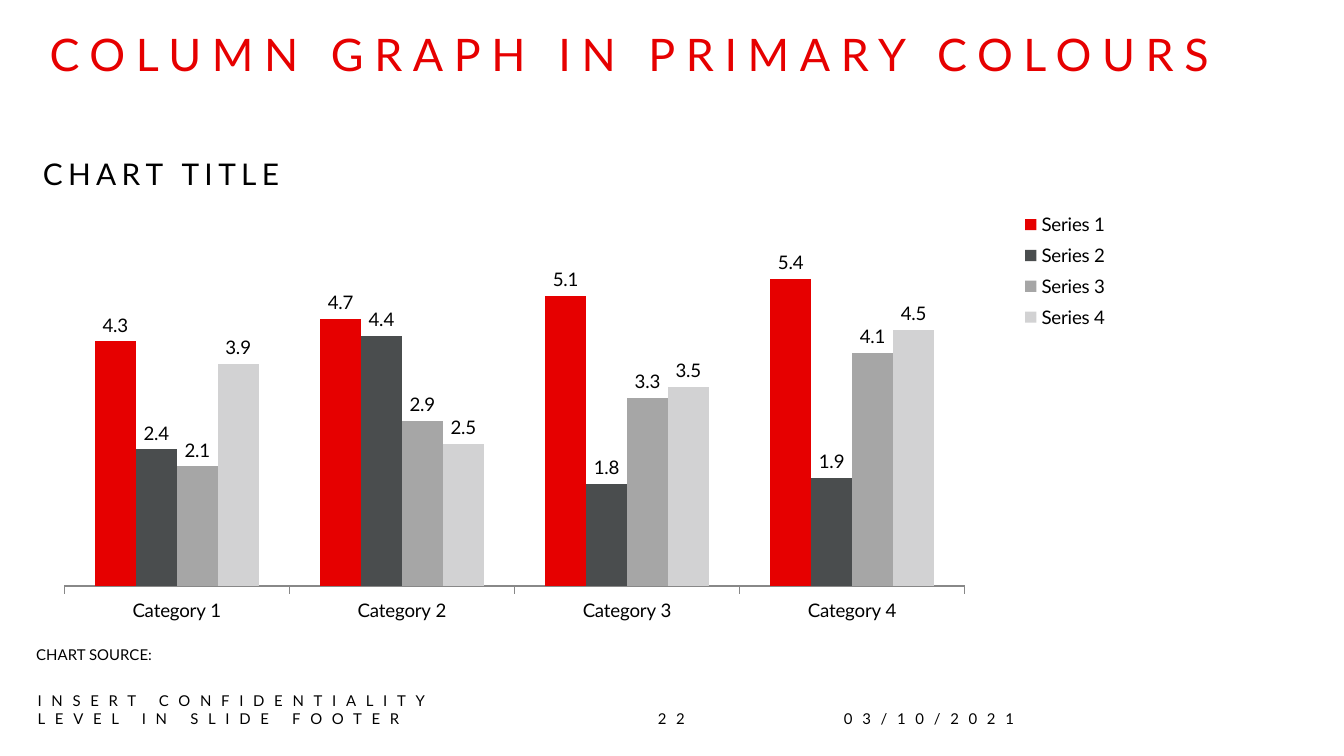
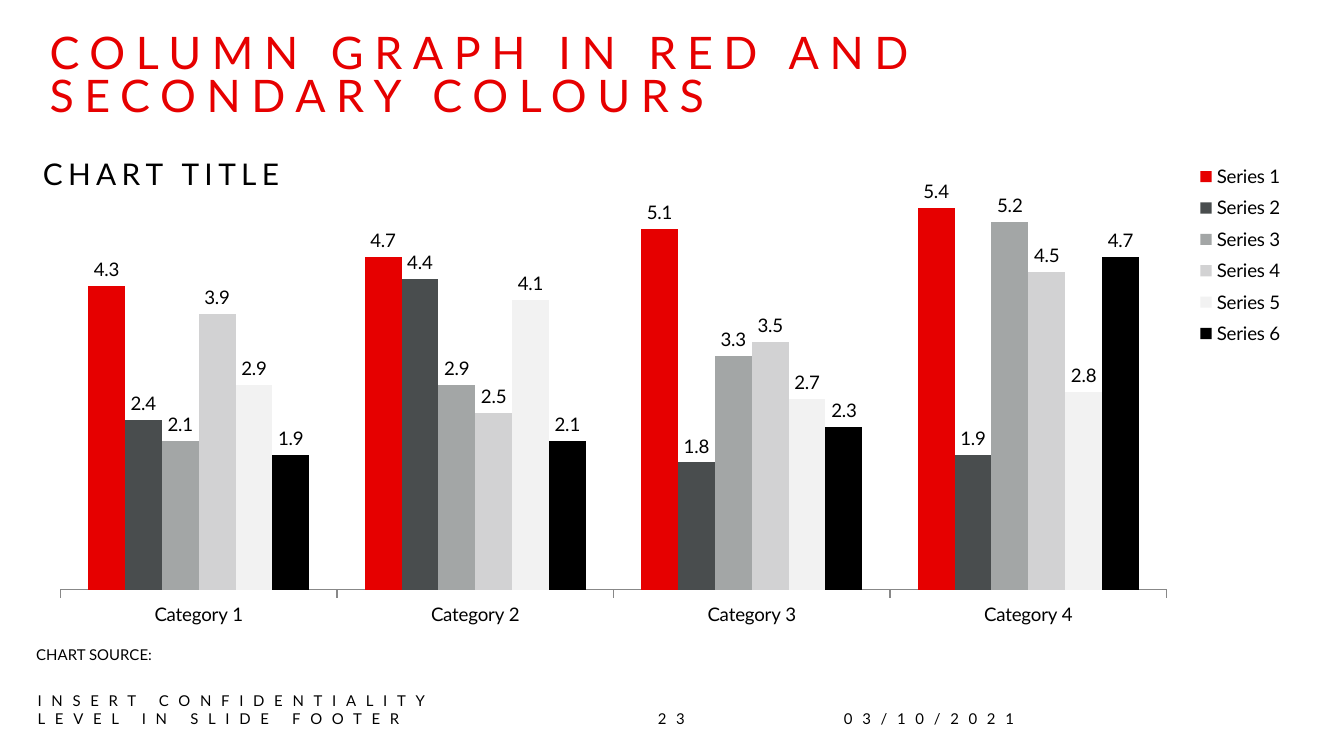
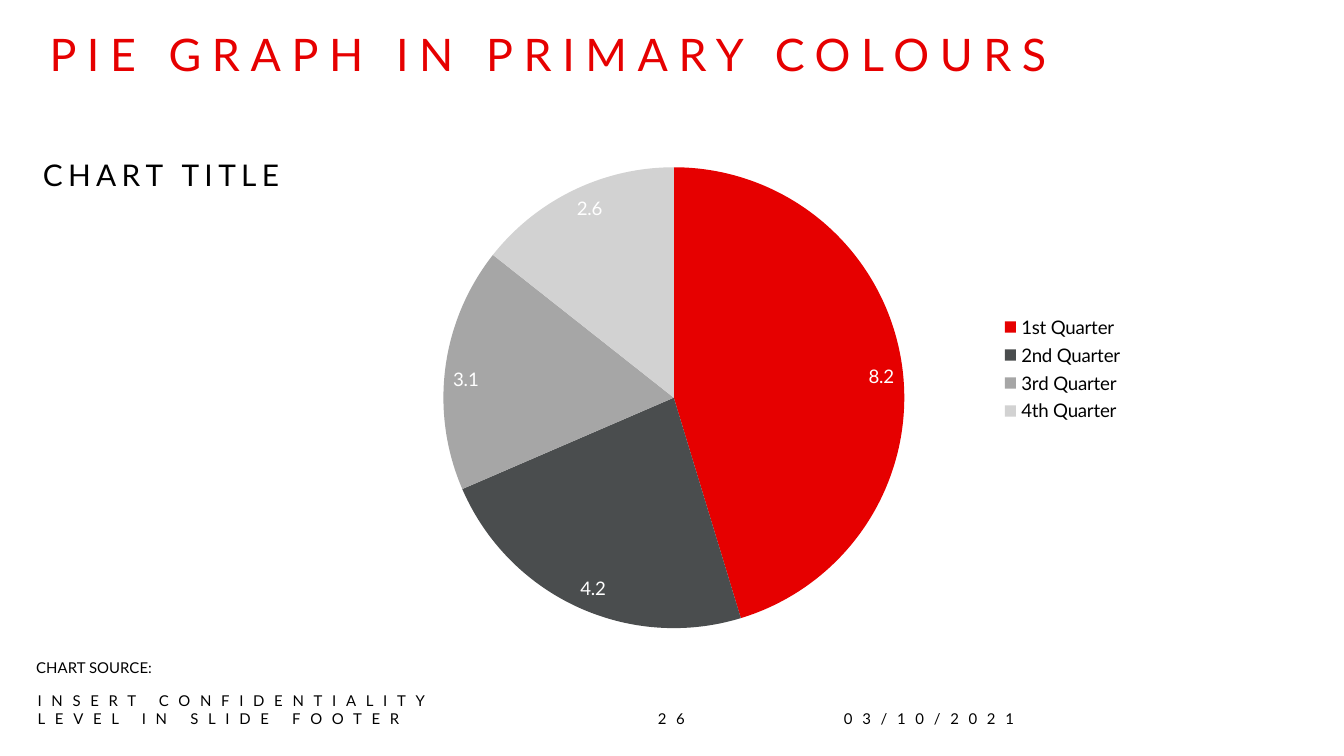
import pptx
import pptx.chart.data
import pptx.dml.color
import pptx.enum.chart
import pptx.enum.text
import pptx.oxml
import pptx.oxml.ns
import pptx.util
from pptx.util import Inches

FONT = "Lato"
RED, BLACK, WHITE = "E60000", "000000", "FFFFFF"
AXIS_GREY = "888888"
MARGIN, CONTENT_WIDTH = 0.27, 9.45
CHART_HEIGHT = 3.72
CATEGORIES = [f"Category {number}" for number in range(1, 5)]
QUARTERS = ["1st Quarter", "2nd Quarter", "3rd Quarter", "4th Quarter"]
COLUMN = pptx.enum.chart.XL_CHART_TYPE.COLUMN_CLUSTERED
PIE = pptx.enum.chart.XL_CHART_TYPE.PIE
TOP = pptx.enum.text.MSO_ANCHOR.TOP
BOTTOM = pptx.enum.text.MSO_ANCHOR.BOTTOM
LEFT = pptx.enum.text.PP_ALIGN.LEFT
CENTER = pptx.enum.text.PP_ALIGN.CENTER

SLIDES = [
    {
        "title": "COLUMN GRAPH IN PRIMARY COLOURS", "title_top": 0.23,
        "page": "22", "type": COLUMN, "categories": CATEGORIES,
        "chart_top": 1.09, "source_top": 4.8,
        "plot": (0.022, 0.197, 0.709, 0.682), "legend": (0.77, 0.117, 0.08, 0.264),
        "colors": [RED, "4A4D4E", "A6A6A6", "D2D2D3"],
        "values": [(4.3, 4.7, 5.1, 5.4), (2.4, 4.4, 1.8, 1.9),
                   (2.1, 2.9, 3.3, 4.1), (3.9, 2.5, 3.5, 4.5)],
    },
    {
        "title": "COLUMN GRAPH IN RED AND\nSECONDARY COLOURS", "title_top": 0.21,
        "page": "23", "type": COLUMN, "categories": CATEGORIES,
        "chart_top": 1.09, "source_top": 4.8,
        "plot": (0.019, 0.038, 0.871, 0.849), "legend": (0.908, 0.02, 0.08, 0.395),
        "colors": [RED, "494D4E", "A3A6A6", "D2D2D3", "F2F2F2", BLACK],
        "values": [(4.3, 4.7, 5.1, 5.4), (2.4, 4.4, 1.8, 1.9),
                   (2.1, 2.9, 3.3, 5.2), (3.9, 2.5, 3.5, 4.5),
                   (2.9, 4.1, 2.7, 2.8), (1.9, 2.1, 2.3, 4.7)],
    },
    {
        "title": "PIE GRAPH IN PRIMARY COLOURS", "title_top": 0.23,
        "page": "26", "type": PIE, "categories": QUARTERS,
        "chart_top": 1.1, "source_top": 4.9,
        "plot": (0.291, 0.039, 0.422, 0.922), "legend": (0.758, 0.325, 0.1, 0.235),
        "colors": [RED, "4A4D4E", "A6A6A6", "D2D2D2"],
        "values": [(8.2, 4.2, 3.1, 2.6)],
    },
]


def rgb(color):
    return pptx.dml.color.RGBColor.from_string(color)


def set_layout(element, index, fractions):
    """Place a chart part at x, y (and width, height) as fractions of the chart."""
    for old_layout in element.findall(pptx.oxml.ns.qn("c:layout")):
        element.remove(old_layout)
    target = '<c:layoutTarget val="inner"/>' if element.tag.endswith("plotArea") else ""
    modes = '<c:xMode val="edge"/><c:yMode val="edge"/>'
    places = "".join(f'<c:{name} val="{value}"/>' for name, value in zip("xywh", fractions))
    element.insert(index, pptx.oxml.parse_xml(
        f'<c:layout {pptx.oxml.ns.nsdecls("c")}><c:manualLayout>'
        f"{target}{modes}{places}</c:manualLayout></c:layout>"))


presentation = pptx.Presentation()
presentation.slide_width = Inches(10)
presentation.slide_height = Inches(10) * 9 // 16

for content in SLIDES:
    slide = presentation.slides.add_slide(presentation.slide_layouts[6])

    # Text, place, size, colour, letter spacing, anchor, alignment
    texts = [
        (content["title"], (MARGIN, content["title_top"], CONTENT_WIDTH, 0.73),
         24, RED, 5.7, TOP, LEFT),
        ("03/10/2021", (6.28, 5.15, 2.16, 0.26), 8, BLACK, 5.2, BOTTOM, LEFT),
        ("INSERT CONFIDENTIALITY LEVEL IN SLIDE FOOTER", (0.28, 5.15, 3.01, 0.26),
         8, BLACK, 5.2, BOTTOM, LEFT),
        (content["page"], (4.77, 5.15, 0.45, 0.26), 8, BLACK, 5.2, BOTTOM, CENTER),
        ("CHART SOURCE:", (MARGIN, content["source_top"], 3.94, 0.28),
         8, BLACK, 0, TOP, LEFT),
    ]
    for text, place, size, color, spacing, anchor, alignment in texts:
        frame = slide.shapes.add_textbox(*map(Inches, place)).text_frame
        frame.word_wrap = True
        frame.vertical_anchor = anchor
        paragraph = frame.paragraphs[0]
        paragraph.text = text
        paragraph.alignment = alignment
        if text == content["title"]:
            paragraph.line_spacing = 0.8
        else:
            frame.margin_left = frame.margin_right = 0
            frame.margin_top = frame.margin_bottom = 0
        paragraph.font.name = FONT
        paragraph.font.size = pptx.util.Pt(size)
        paragraph.font.color.rgb = rgb(color)
        if spacing:
            paragraph.font._element.set("spc", str(round(spacing * 100)))

    is_pie = content["type"] == PIE
    chart_data = pptx.chart.data.CategoryChartData(number_format="General")
    chart_data.categories = content["categories"]
    for number, values in enumerate(content["values"], 1):
        chart_data.add_series(f"Series {number}", values)
    chart = slide.shapes.add_chart(
        content["type"], Inches(MARGIN), Inches(content["chart_top"]),
        Inches(CONTENT_WIDTH), Inches(CHART_HEIGHT), chart_data).chart
    chart.font.name = FONT
    chart.font.size = pptx.util.Pt(10)
    chart.font.color.rgb = rgb(BLACK)

    chart.has_title = True
    paragraph = chart.chart_title.text_frame.paragraphs[0]
    paragraph.text = "CHART TITLE"
    paragraph.font.name = FONT
    paragraph.font.size = pptx.util.Pt(16)
    paragraph.font.bold = False
    paragraph.font.color.rgb = rgb(BLACK)
    paragraph.font._element.set("spc", "300")
    set_layout(chart.chart_title._element, 1, (0.001, 0.001))

    chart.has_legend = True
    chart.legend.position = pptx.enum.chart.XL_LEGEND_POSITION.RIGHT
    chart.legend.include_in_layout = False
    chart.legend.font.name = FONT
    chart.legend.font.size = pptx.util.Pt(10)
    chart.legend.font.color.rgb = rgb(BLACK)
    set_layout(chart.legend._element, 1, content["legend"])
    set_layout(chart._chartSpace.chart.plotArea, 0, content["plot"])

    plot = chart.plots[0]
    plot.vary_by_categories = is_pie
    label_position = pptx.enum.chart.XL_LABEL_POSITION
    for series in plot.series:
        labels = series.data_labels
        labels.show_value = True
        labels.number_format = "0.0"
        labels.number_format_is_linked = False
        labels.position = label_position.INSIDE_END if is_pie else label_position.OUTSIDE_END
        labels.font.name = FONT
        labels.font.size = pptx.util.Pt(10)
        labels.font.color.rgb = rgb(WHITE if is_pie else BLACK)

    if is_pie:
        pieces = [plot.series[0].points[index] for index in range(len(QUARTERS))]
    else:
        pieces = plot.series
        plot.gap_width = 150
        plot.overlap = 0
        chart.value_axis.visible = False
        chart.value_axis.has_major_gridlines = False
        chart.value_axis.minimum_scale = 0
        chart.value_axis.maximum_scale = 6
        axis = chart.category_axis
        axis.major_tick_mark = pptx.enum.chart.XL_TICK_MARK.OUTSIDE
        axis.format.line.color.rgb = rgb(AXIS_GREY)
        axis.format.line.width = pptx.util.Pt(0.75)
        axis.tick_labels.font.name = FONT
        axis.tick_labels.font.size = pptx.util.Pt(10)
        axis.tick_labels.font.color.rgb = rgb(BLACK)
    for piece, color in zip(pieces, content["colors"]):
        piece.format.fill.solid()
        piece.format.fill.fore_color.rgb = rgb(color)

presentation.save("out.pptx")
